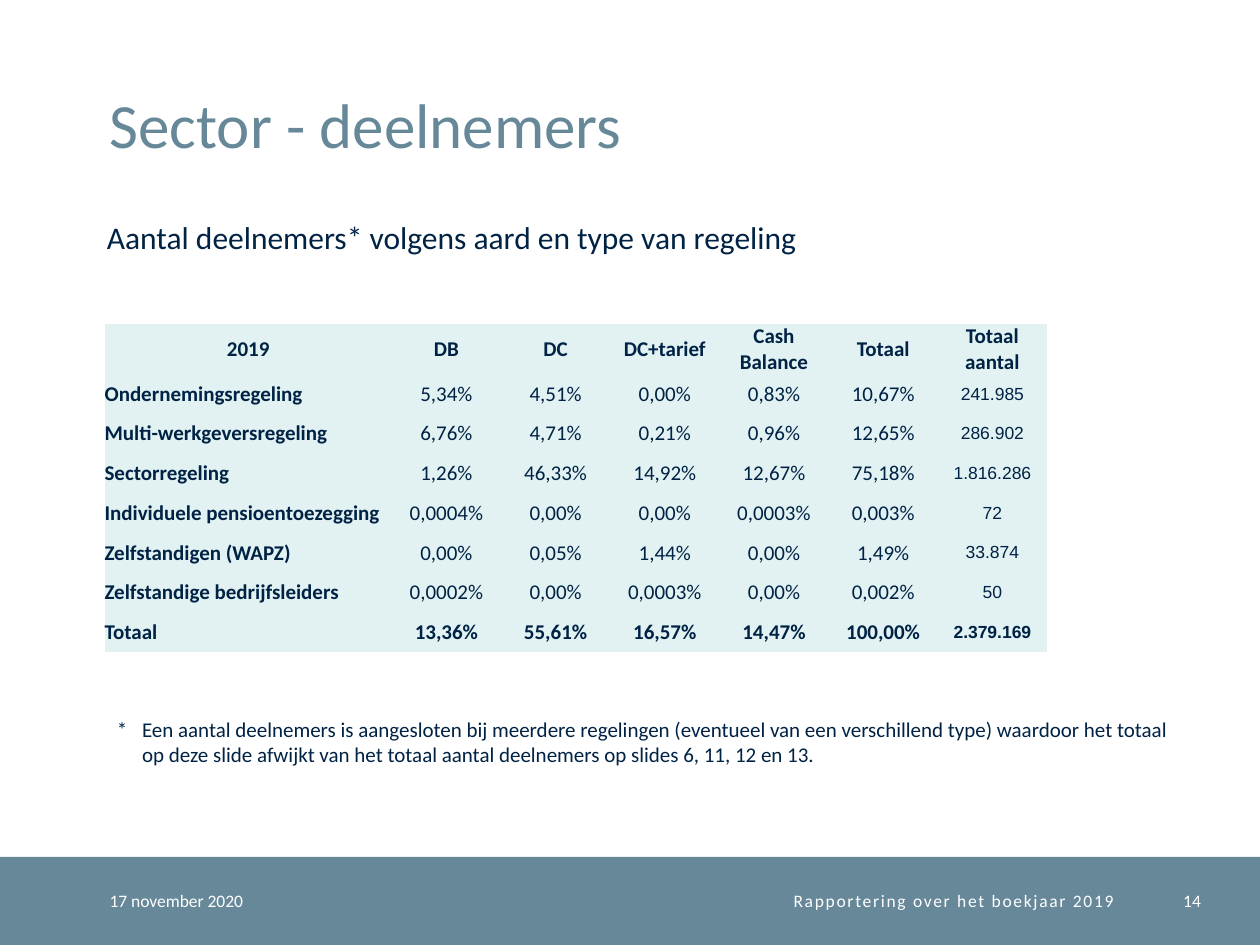
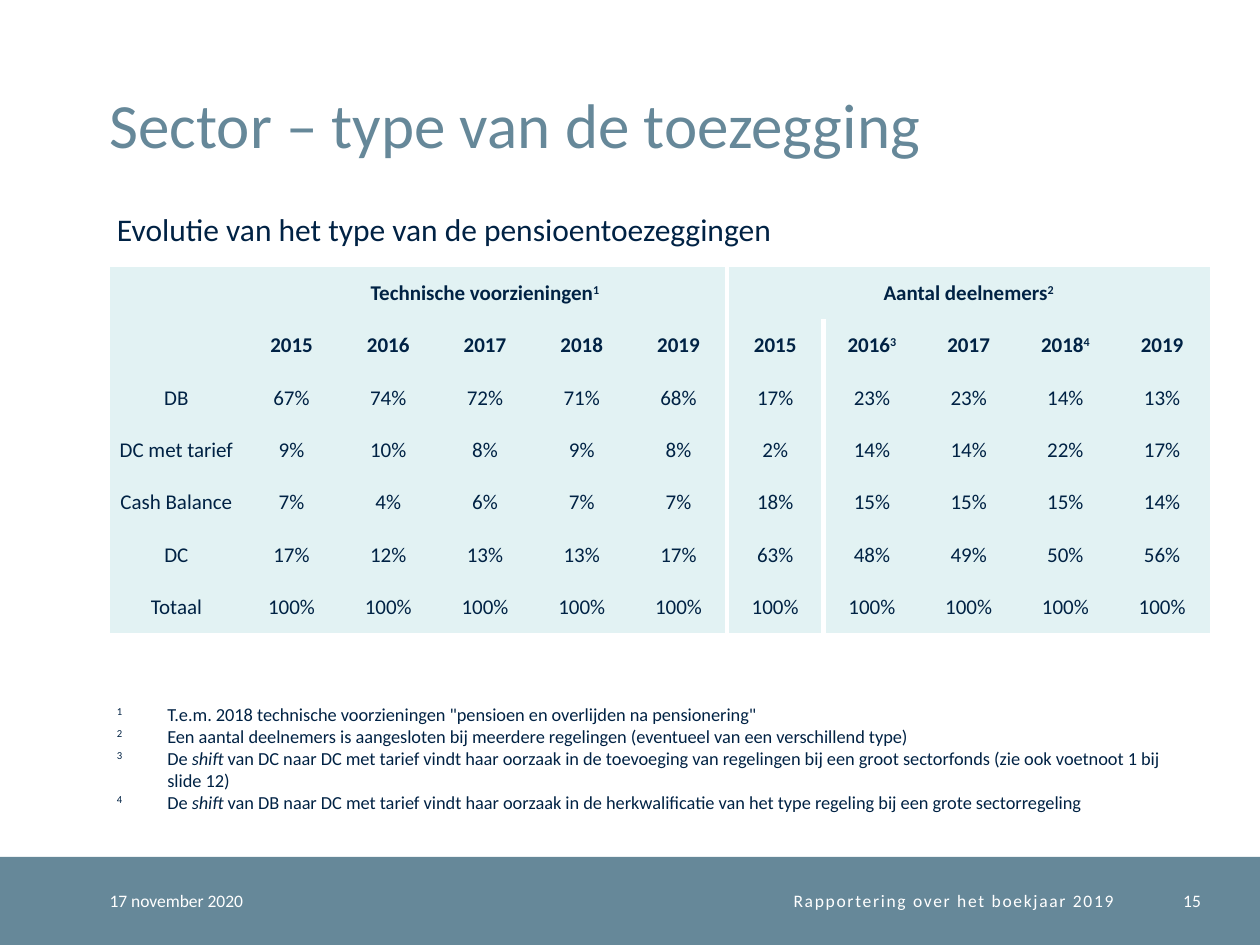
from lxml import etree
from pptx import Presentation, util as u
from pptx.dml.color import RGBColor
from pptx.enum import shapes, text
from pptx.oxml.ns import qn

SLATE, NAVY, WHITE, MINT = "668899", "002244", "FFFFFF", "E2F2F3"
NO_GRID_STYLE = "{2D5ABB26-0587-4C30-8999-92F81FD0307C}"
CENTER, RIGHT = text.PP_ALIGN.CENTER, text.PP_ALIGN.RIGHT

REGIME_ROWS = [
    ["2019", "DB", "DC", "DC+tarief", "Cash Balance", "Totaal", "Totaal aantal"],
    ["Ondernemingsregeling", "5,34%", "4,51%", "0,00%", "0,83%", "10,67%", "241.985"],
    ["Multi-werkgeversregeling", "6,76%", "4,71%", "0,21%", "0,96%", "12,65%", "286.902"],
    ["Sectorregeling", "1,26%", "46,33%", "14,92%", "12,67%", "75,18%", "1.816.286"],
    ["Individuele pensioentoezegging", "0,0004%", "0,00%", "0,00%", "0,0003%", "0,003%", "72"],
    ["Zelfstandigen (WAPZ)", "0,00%", "0,05%", "1,44%", "0,00%", "1,49%", "33.874"],
    ["Zelfstandige bedrijfsleiders", "0,0002%", "0,00%", "0,0003%", "0,00%", "0,002%", "50"],
    ["Totaal", "13,36%", "55,61%", "16,57%", "14,47%", "100,00%", "2.379.169"],
]
# In all texts "|" parts the spans; "^" marks superscript and "/" italics.
PROMISE_ROWS = [
    ["", "Technische voorzieningen|^1", "", "", "", "", "Aantal deelnemers|^2", "", "", "", ""],
    ["", "2015", "2016", "2017", "2018", "2019", "2015", "2016|^3", "2017", "2018|^4", "2019"],
    ["DB", "67%", "74%", "72%", "71%", "68%", "17%", "23%", "23%", "14%", "13%"],
    ["DC met tarief", "9%", "10%", "8%", "9%", "8%", "2%", "14%", "14%", "22%", "17%"],
    ["Cash Balance", "7%", "4%", "6%", "7%", "7%", "18%", "15%", "15%", "15%", "14%"],
    ["DC", "17%", "12%", "13%", "13%", "17%", "63%", "48%", "49%", "50%", "56%"],
    ["Totaal"] + ["100%"] * 10,
]
PARTICIPANT_NOTE = [
    "*\tEen aantal deelnemers is aangesloten bij meerdere regelingen (eventueel van een "
    "verschillend type) waardoor het totaal op deze slide afwijkt van het totaal aantal "
    "deelnemers op slides 6, 11, 12 en 13.",
]
PROMISE_NOTES = [
    '^1|\tT.e.m. 2018 technische voorzieningen "pensioen en overlijden na pensionering"',
    "^2|\tEen aantal deelnemers is aangesloten bij meerdere regelingen (eventueel van een "
    "verschillend type)",
    "^3|\tDe |/shift| van DC naar DC met tarief vindt haar oorzaak in de toevoeging van "
    "regelingen bij een groot sectorfonds (zie ook voetnoot 1 bij slide 12)",
    "^4|\tDe |/shift| van DB naar DC met tarief vindt haar oorzaak in de herkwalificatie van "
    "het type regeling bij een grote sectorregeling",
]


def color(hex_code):
    return RGBColor.from_string(hex_code)


def write_para(para, marked, hex_code=NAVY, size=12, name="Calibri", bold=False, align=None,
               spacing=0):
    para.alignment = align
    for part in marked.split("|"):
        span = para.add_run()
        span.text = part.lstrip("^/")
        format_values = {"name": name, "size": u.Pt(size), "bold": bold,
                         "italic": part.startswith("/")}
        for key, value in format_values.items():
            setattr(span.font, key, value)
        span.font.color.rgb = color(hex_code)
        if part.startswith("^"):
            span.font._element.set("baseline", "30000")
        if spacing:
            span.font._element.set("spc", str(spacing * 100))


def set_margins(holder, inches):
    for side in ("left", "top", "right", "bottom"):
        setattr(holder, f"margin_{side}", u.Inches(inches))


def add_text(page, at, lines, anchor=None, hanging=0, **style):
    """Add a text box; an anchor means fixed size without insets, else it grows."""
    frame = page.shapes.add_textbox(*map(u.Inches, at)).text_frame
    frame.word_wrap = True
    if anchor is None:
        frame.auto_size = text.MSO_AUTO_SIZE.SHAPE_TO_FIT_TEXT
    else:
        frame.vertical_anchor = anchor
        set_margins(frame, 0)
    for index, line in enumerate(lines):
        para = frame.add_paragraph() if index else frame.paragraphs[0]
        if hanging:
            properties = para._p.get_or_add_pPr()
            properties.set("marL", str(u.Inches(hanging)))
            properties.set("indent", str(-u.Inches(hanging)))
        write_para(para, line, **style)
    return frame


def add_page(deck, title, number):
    """Add a page with the shared title, bottom band and footer."""
    page = deck.slides.add_slide(deck.slide_layouts[6])
    band = page.shapes.add_shape(shapes.MSO_SHAPE.RECTANGLE,
                                 *map(u.Inches, (0, 6.8, 10, 0.7)))
    band.shadow.inherit = False
    band.fill.solid()
    band.fill.fore_color.rgb = color(SLATE)
    band.line.fill.background()

    heading = add_text(page, (0.87, 0.2, 8.63, 1.08), [title], text.MSO_ANCHOR.BOTTOM,
                       hex_code=SLATE, size=36)
    heading.paragraphs[0].line_spacing = u.Pt(32)
    footers = [
        (0.87, 1.77, "17 november 2020", {}),
        (2.64, 6.2, "Rapportering over het boekjaar 2019", {"align": RIGHT, "spacing": 1}),
        (9.04, 0.49, str(number), {"align": RIGHT}),
    ]
    for left, width, words, style in footers:
        add_text(page, (left, 6.8, width, 0.7), [words], text.MSO_ANCHOR.MIDDLE,
                 hex_code=WHITE, size=10, **style)
    return page


def add_table(page, at, rows, first_width, cell_style):
    """Add a plain mint table; cell_style(row, column) gives the text style."""
    width, height = at[2:]
    table = page.shapes.add_table(len(rows), len(rows[0]), *map(u.Inches, at)).table
    table.first_row = table.horz_banding = False
    table._tbl.tblPr.find(qn("a:tableStyleId")).text = NO_GRID_STYLE
    for row in table.rows:
        row.height = u.Inches(height / len(rows))
    for index, column in enumerate(table.columns):
        rest = (width - first_width) / (len(rows[0]) - 1)
        column.width = u.Inches(rest if index else first_width)
    for r, values in enumerate(rows):
        for c, value in enumerate(values):
            cell = table.cell(r, c)
            set_margins(cell, 0)
            cell.vertical_anchor = text.MSO_ANCHOR.MIDDLE
            cell.fill.solid()
            cell.fill.fore_color.rgb = color(MINT)
            if value:
                write_para(cell.text_frame.paragraphs[0], value, **cell_style(r, c))
    return table


def add_border(cell, side, hex_code, points):
    line = etree.Element(qn(f"a:ln{side}"), w=str(u.Pt(points)))
    fill = etree.SubElement(line, qn("a:solidFill"))
    etree.SubElement(fill, qn("a:srgbClr"), val=hex_code)
    cell._tc.get_or_add_tcPr().insert(0, line)


def regime_style(row, column):
    style = {"bold": row in (0, len(REGIME_ROWS) - 1) or column == 0,
             "align": CENTER if row == 0 or column else None}
    if row and column == len(REGIME_ROWS[0]) - 1:
        style.update(name="Arial", size=10)
    return style


def promise_style(row, column):
    return {"bold": row < 2, "align": CENTER}


def add_participants_page(deck):
    page = add_page(deck, "Sector - deelnemers", 14)
    add_text(page, (0.75, 1.68, 8.43, 0.4),
             ["Aantal deelnemers* volgens aard en type van regeling"], size=18)
    add_table(page, (0.83, 2.57, 7.48, 2.52), REGIME_ROWS, 2.28, regime_style)
    add_text(page, (0.83, 5.64, 8.74, 0.5), PARTICIPANT_NOTE, hanging=0.2)


def add_promises_page(deck):
    page = add_page(deck, "Sector – type van de toezegging", 15)
    add_text(page, (0.83, 1.62, 8.43, 0.4),
             ["Evolutie van het type van de pensioentoezeggingen"], size=18)
    table = add_table(page, (0.87, 2.12, 8.74, 2.91), PROMISE_ROWS, 1.06, promise_style)
    add_border(table.cell(0, 1), "R", WHITE, 3)
    for row in range(len(PROMISE_ROWS)):
        add_border(table.cell(row, 5), "R", WHITE, 3)
        add_border(table.cell(row, 6), "L", WHITE, 3)
    for start, end in [((0, 0), (1, 0)), ((0, 1), (0, 5)), ((0, 6), (0, 10))]:
        table.cell(*start).merge(table.cell(*end))
    add_text(page, (0.83, 5.53, 8.74, 0.98), PROMISE_NOTES, hanging=0.4, size=10.5)


def main():
    deck = Presentation()
    deck.slide_width, deck.slide_height = u.Inches(10), u.Inches(7.5)
    add_participants_page(deck)
    add_promises_page(deck)
    deck.save("out.pptx")


if __name__ == "__main__":
    main()
